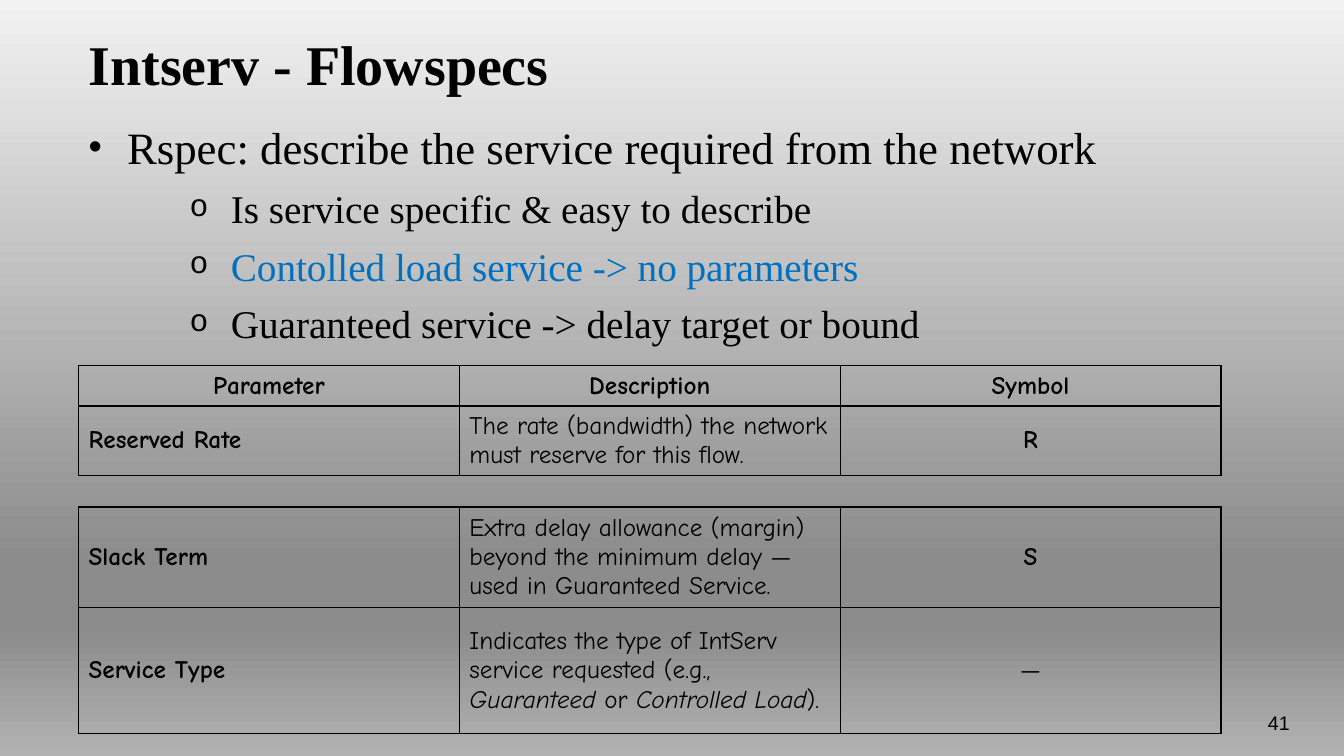
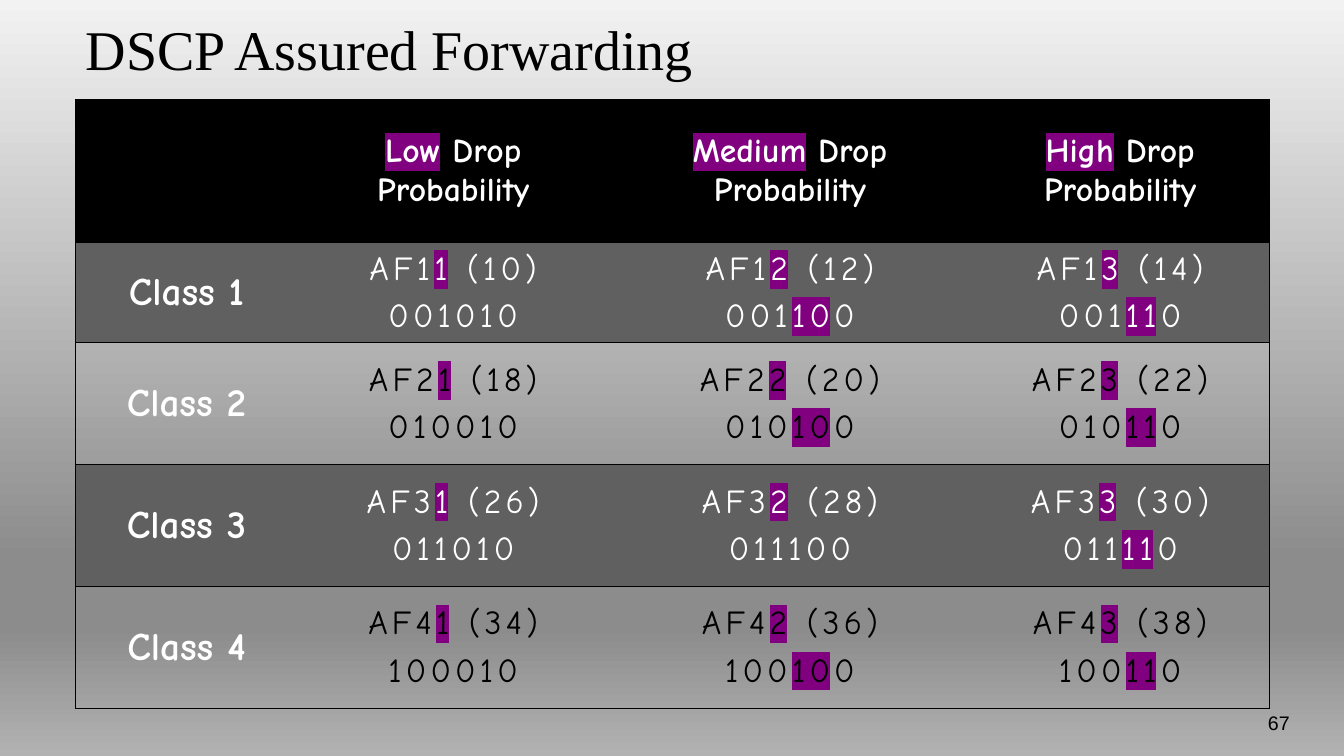
from lxml.etree import SubElement
from pptx import Presentation
from pptx.dml.color import RGBColor
from pptx.enum.text import MSO_ANCHOR, MSO_AUTO_SIZE, PP_ALIGN
from pptx.oxml.ns import qn
from pptx.util import Inches, Pt

BLACK = RGBColor(0x00, 0x00, 0x00)
WHITE = RGBColor(0xFF, 0xFF, 0xFF)
BLUE = RGBColor(0x00, 0x70, 0xC0)
PURPLE = RGBColor(0x80, 0x00, 0x80)
DARK_GRAY = RGBColor(0x60, 0x60, 0x60)
BACKGROUND_STOPS = [
    (0, RGBColor(0xF2, 0xF2, 0xF2)),
    (74, RGBColor(0x8C, 0x8C, 0x8C)),
    (83, RGBColor(0x8C, 0x8C, 0x8C)),
    (100, RGBColor(0xB2, 0xB2, 0xB2)),
]
SERIF = "Times New Roman"
TABLE_FONT = "Comic Neue"
PLAIN_TABLE_STYLE = "{2D5ABB26-0587-4C30-8999-92F81FD0307C}"


def write_cell_text(para, text, size, color, bold=False, highlight=None, spacing=0):
    for index, piece in enumerate(text.split("|")):
        span = para.add_run()
        span.text = piece
        span.font.name = TABLE_FONT
        span.font.size = Pt(size)
        span.font.bold = bold
        span.font.color.rgb = color
        properties = span.font._element
        if spacing:
            properties.set("spc", str(spacing * 100))
        if index % 2 and highlight is None:
            span.font.italic = True
        elif index % 2:
            mark = SubElement(properties, qn("a:highlight"))
            SubElement(mark, qn("a:srgbClr"), val=str(highlight))
            properties.find(qn("a:solidFill")).addnext(mark)


def format_cell(cell, sides, width, fill=None):
    cell.vertical_anchor = MSO_ANCHOR.MIDDLE
    if fill is None:
        cell.fill.background()
    else:
        cell.fill.solid()
        cell.fill.fore_color.rgb = fill
    properties = cell._tc.get_or_add_tcPr()
    for index, side in enumerate(sides):
        line = SubElement(properties, qn("a:ln" + side), w=str(Pt(width)))
        paint = SubElement(line, qn("a:solidFill"))
        SubElement(paint, qn("a:srgbClr"), val=str(BLACK))
        properties.insert(index, line)


deck = Presentation()
deck.slide_width = Inches(13.33)
deck.slide_height = Inches(7.5)

background = deck.slide_master.background.fill
background.gradient()
background.gradient_angle = 270
stops = deck.slide_master.element.find(".//" + qn("a:gsLst"))
for stop in list(stops):
    stops.remove(stop)
for position, color in BACKGROUND_STOPS:
    stop = SubElement(stops, qn("a:gs"), pos=str(position * 1000))
    SubElement(stop, qn("a:srgbClr"), val=str(color))

pages = []
for layout, title_text, bold, number, left, top, width, height in [
    (1, "Intserv - Flowspecs", True, "41", 0.78, 0.25, 11.55, 0.75),
    (5, "DSCP Assured Forwarding", False, "67", 0.75, 0, 11.84, 0.95),
]:
    page = deck.slides.add_slide(deck.slide_layouts[layout])
    pages.append(page)
    title = page.shapes.title
    title.left, title.top = Inches(left), Inches(top)
    title.width, title.height = Inches(width), Inches(height)
    title.text_frame.text = title_text
    title.text_frame.auto_size = MSO_AUTO_SIZE.NONE
    title.text_frame.vertical_anchor = MSO_ANCHOR.MIDDLE
    number_box = page.shapes.add_textbox(Inches(11.9), Inches(7), Inches(0.99), Inches(0.5))
    number_box.text_frame.word_wrap = True
    number_box.text_frame.text = number
    for box, font_name, size, strong, alignment in [
        (title, SERIF, 40, bold, PP_ALIGN.LEFT),
        (number_box, "Arial", 14, False, PP_ALIGN.RIGHT),
    ]:
        para = box.text_frame.paragraphs[0]
        para.alignment = alignment
        font = para.runs[0].font
        font.name = font_name
        font.size = Pt(size)
        font.bold = strong
        font.color.rgb = BLACK

flowspec_page, forwarding_page = pages

body = flowspec_page.placeholders[1]
body.left, body.top = Inches(0.78), Inches(1.11)
body.width, body.height = Inches(11.55), Inches(2.38)
body.text_frame.auto_size = MSO_AUTO_SIZE.NONE
for index, (text, level, color) in enumerate([
    ("Rspec: describe the service required from the network", 0, BLACK),
    ("Is service specific & easy to describe", 2, BLACK),
    ("Contolled load service -> no parameters", 2, BLUE),
    ("Guaranteed service -> delay target or bound", 2, BLACK),
]):
    para = body.text_frame.add_paragraph() if index else body.text_frame.paragraphs[0]
    para.text = text
    para.level = level
    para.space_before = Pt(6)
    para.line_spacing = 1.05
    font = para.runs[0].font
    font.name = SERIF
    font.size = Pt(28 if level else 32)
    font.color.rgb = color
    margin, hanging, bullet, bullet_size, bullet_font = (
        (1.41, 0.41, "o", 80, "Courier New") if level else (0.38, 0.38, "•", 85, "Arial")
    )
    properties = para._p.get_or_add_pPr()
    properties.set("marL", str(Inches(margin)))
    properties.set("indent", str(-Inches(hanging)))
    bullet_color = SubElement(properties, qn("a:buClr"))
    SubElement(bullet_color, qn("a:srgbClr"), val=str(BLACK))
    SubElement(properties, qn("a:buSzPct"), val=str(bullet_size * 1000))
    SubElement(properties, qn("a:buFont"), typeface=bullet_font)
    SubElement(properties, qn("a:buChar"), char=bullet)

for top, height, texts in [
    (3.63, 0.39, ["Parameter", "Description", "Symbol"]),
    (4.02, 0.67, ["Reserved Rate", "The rate (bandwidth) the network must reserve for this flow.", "R"]),
    (5.03, 0.96, [
        "Slack Term",
        "Extra delay allowance (margin) beyond the minimum delay — used in Guaranteed Service.",
        "S",
    ]),
    (6.03, 1.25, [
        "Service Type",
        "Indicates the type of IntServ service requested (e.g., |Guaranteed| or |Controlled Load|).",
        "—",
    ]),
]:
    frame = flowspec_page.shapes.add_table(1, 3, Inches(0.78), Inches(top), Inches(11.33), Inches(height))
    frame._element.find(".//" + qn("a:tableStyleId")).text = PLAIN_TABLE_STYLE
    is_header = texts[0] == "Parameter"
    for column, text in enumerate(texts):
        cell = frame.table.cell(0, column)
        format_cell(cell, "LRTB", 1)
        para = cell.text_frame.paragraphs[0]
        para.alignment = PP_ALIGN.CENTER if is_header or column == 2 else PP_ALIGN.LEFT
        write_cell_text(para, text, 18, BLACK, bold=(is_header or column != 1) and text != "—")

rows = [["", "|Low| Drop Probability", "|Medium| Drop Probability", "|High| Drop Probability"]]
for service_class in range(1, 5):
    row = [f"Class {service_class}"]
    for drop in range(1, 4):
        value = 8 * service_class + 2 * drop
        bits = f"{value:06b}"
        if drop > 1 and (service_class, drop) != (3, 2):
            bits = f"{bits[:3]}|{bits[3:5]}|{bits[5]}"
        row.append(f"AF{service_class}|{drop}| ({value})\n{bits}")
    rows.append(row)

frame = forwarding_page.shapes.add_table(5, 4, Inches(0.75), Inches(0.99), Inches(11.84), Inches(6.04))
frame._element.find(".//" + qn("a:tableStyleId")).text = PLAIN_TABLE_STYLE
table = frame.table
for column, width in zip(table.columns, [2.2, 3.09, 3.59, 2.96]):
    column.width = Inches(width)
for row, height in zip(table.rows, [1.42, 0.99, 1.21, 1.21, 1.21]):
    row.height = Inches(height)

for row_index, texts in enumerate(rows):
    is_header = row_index == 0
    fill = BLACK if is_header else DARK_GRAY if row_index % 2 else None
    for column, text in enumerate(texts):
        cell = table.cell(row_index, column)
        sides = {0: "LTB", 3: "RTB"}.get(column, "TB")
        format_cell(cell, sides, 0.75, fill)
        if not text:
            continue
        is_label = column == 0
        is_code = not is_header and not is_label
        for index, line in enumerate(text.split("\n")):
            para = cell.text_frame.add_paragraph() if index else cell.text_frame.paragraphs[0]
            para.alignment = PP_ALIGN.CENTER
            if not is_header:
                para.space_before = Pt(6)
            write_cell_text(
                para,
                line,
                28 if is_label else 24,
                BLACK if is_code and fill is None else WHITE,
                bold=not is_code,
                highlight=PURPLE,
                spacing=3 if is_code else 0,
            )

deck.save("out.pptx")
